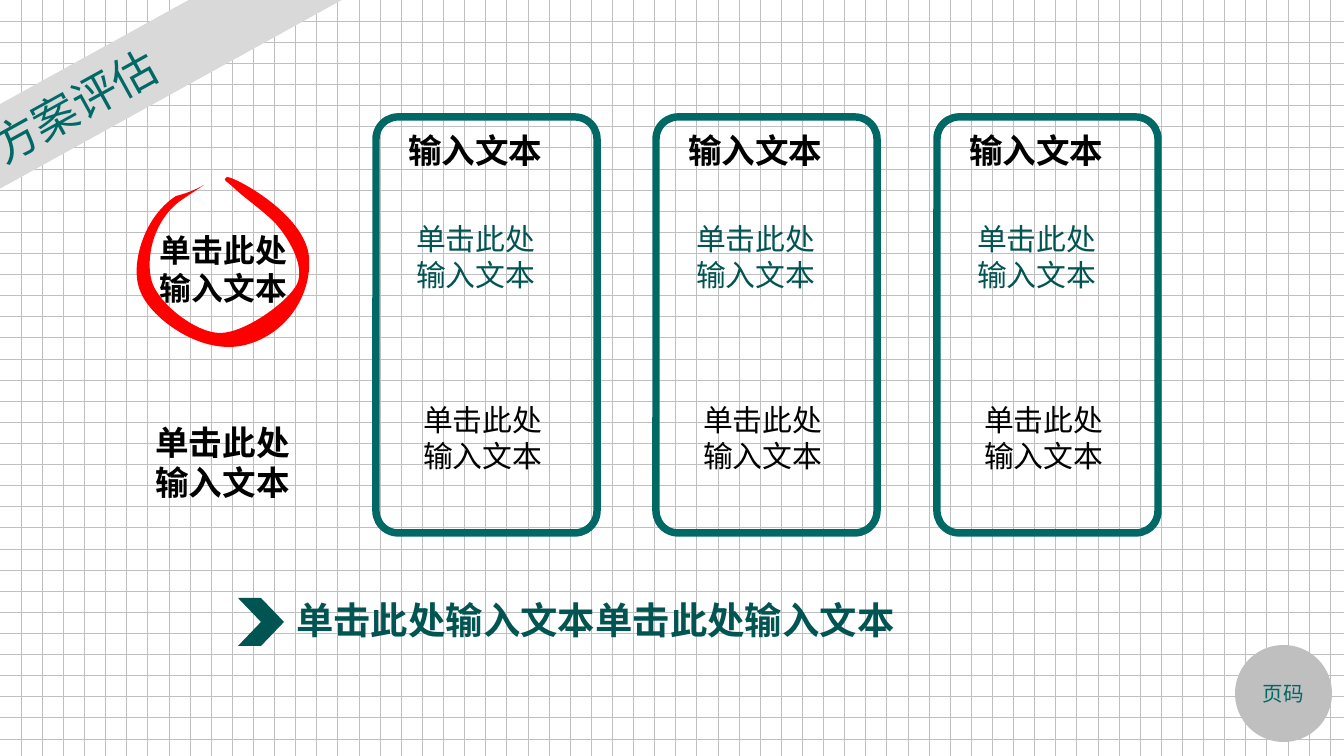
import dataclasses

import lxml.etree
import pptx
import pptx.dml.color
import pptx.enum.dml
import pptx.enum.shapes
import pptx.enum.text
import pptx.oxml.ns
import pptx.util

EMU_PER_PX = 914400 / 134.4
SHAPES = pptx.enum.shapes.MSO_SHAPE
ALIGN = pptx.enum.text.PP_ALIGN
ANCHOR = pptx.enum.text.MSO_ANCHOR
AUTO_SIZE = pptx.enum.text.MSO_AUTO_SIZE
rgb = pptx.dml.color.RGBColor.from_string
qn = pptx.oxml.ns.qn


@dataclasses.dataclass(frozen=True)
class Theme:
    font: str = "Noto Sans CJK SC"
    teal: str = "006865"
    dark_teal: str = "005452"
    black: str = "000000"
    white: str = "FFFFFF"
    red: str = "FF0000"
    band: str = "D9D9D9"
    grey: str = "BFBFBF"
    title: int = 24
    summary: int = 20
    heading: int = 18
    circled: int = 17
    body: int = 16
    page_number: int = 11


theme = Theme()


def px(*lengths):
    return [pptx.util.Emu(round(length * EMU_PER_PX)) for length in lengths]


def write(shape, text, size, color, bold=False, align=ALIGN.LEFT,
          anchor=ANCHOR.TOP, auto_size=AUTO_SIZE.SHAPE_TO_FIT_TEXT):
    frame = shape.text_frame
    frame.word_wrap = True
    frame.auto_size = auto_size
    frame.vertical_anchor = anchor
    para = frame.paragraphs[0]
    para.alignment = align
    span = para.add_run()
    span.text = text
    span.font.size = pptx.util.Pt(size)
    span.font.bold = bold
    span.font.color.rgb = rgb(color)
    span.font.name = theme.font
    east_asian = lxml.etree.SubElement(span.font._element, qn("a:ea"))
    east_asian.set("typeface", theme.font)


deck = pptx.Presentation()
deck.slide_width, deck.slide_height = px(1344, 756)
slide = deck.slides.add_slide(deck.slide_layouts[5])
shapes = slide.shapes

grid = slide.background.fill
grid.patterned()
grid.pattern = pptx.enum.dml.MSO_PATTERN.DOTTED_GRID
grid.fore_color.rgb = rgb(theme.grey)
grid.back_color.rgb = rgb(theme.white)

# Slanted title band; the left margin moves the text onto the slide
title = shapes.title
title.left, title.top, title.width, title.height = px(-128, 26, 558, 74)
title.rotation = 331.1
title.fill.solid()
title.fill.fore_color.rgb = rgb(theme.band)
title.text_frame.margin_left = px(102)[0]
write(title, "方案评估", theme.title, theme.teal, anchor=ANCHOR.MIDDLE, auto_size=AUTO_SIZE.NONE)

# Row labels
for place, size in (
    ((142, 224, 163, 90), theme.circled),
    ((135, 415, 175, 95), theme.heading),
):
    label = shapes.add_textbox(*px(*place))
    write(label, "单击此处输入文本", size, theme.black, bold=True, align=ALIGN.CENTER)

# Hand-drawn ring: cubic curves, each as two control points and an end point
ring_start = (176, 196)
ring_curves = [
    ((142, 218), (129, 269), (141, 293)),
    ((152, 319), (202, 356), (245, 345)),
    ((285, 335), (312, 297), (309, 257)),
    ((305, 214), (235, 177), (227, 177)),
    ((222, 181), (226, 180), (234, 188)),
    ((242, 196), (265, 212), (276, 224)),
    ((286, 235), (306, 265), (297, 284)),
    ((288, 302), (245, 333), (220, 333)),
    ((196, 333), (159, 304), (152, 282)),
    ((145, 259), (153, 219), (183, 199)),
    ((183, 199), (204, 185), (204, 185)),
    ((200, 187), (192, 192), (176, 196)),
]
outline = shapes.build_freeform(*px(*ring_start))
outline.add_line_segments([px(*curve[-1]) for curve in ring_curves], close=True)
ring = outline.convert_to_shape()

# Turn each straight side of the ring into its curve
sides = list(ring._element.iter(qn("a:lnTo")))
for side, curve in zip(sides, ring_curves):
    bend = lxml.etree.Element(qn("a:cubicBezTo"))
    for point in curve:
        x, y = px(*point)
        lxml.etree.SubElement(bend, qn("a:pt"), x=str(x - ring.left), y=str(y - ring.top))
    side.getparent().replace(side, bend)

page_circle = shapes.add_shape(SHAPES.OVAL, *px(1235, 645, 97, 97))
page_circle.text_frame.margin_left = page_circle.text_frame.margin_right = 0
write(page_circle, "页码", theme.page_number, theme.teal, align=ALIGN.CENTER,
      anchor=ANCHOR.MIDDLE, auto_size=AUTO_SIZE.NONE)

arrow = shapes.add_shape(SHAPES.CHEVRON, *px(238, 598, 46, 48))
for shape, color in ((ring, theme.red), (page_circle, theme.grey), (arrow, theme.dark_teal)):
    shape.shadow.inherit = False
    shape.fill.solid()
    shape.fill.fore_color.rgb = rgb(color)
    shape.line.fill.background()

summary = shapes.add_textbox(*px(283, 591, 821, 59))
write(summary, "单击此处输入文本单击此处输入文本", theme.summary, theme.dark_teal, bold=True)

# Three equal cards; text places are measured from the card's left edge
card_texts = [
    ((19, 123, 202, 54), "输入文本", theme.heading, theme.black, True),
    ((27, 214, 151, 86), "单击此处输入文本", theme.body, theme.dark_teal, False),
    ((34, 395, 153, 86), "单击此处输入文本", theme.body, theme.black, False),
]
for left in (376, 656, 937):
    card = shapes.add_shape(SHAPES.ROUNDED_RECTANGLE, *px(left, 117, 221, 416))
    card.adjustments[0] = 0.1
    card.shadow.inherit = False
    card.fill.background()
    card.line.color.rgb = rgb(theme.teal)
    card.line.width = pptx.util.Pt(4)
    for (offset, top, width, height), text, size, color, bold in card_texts:
        box = shapes.add_textbox(*px(left + offset, top, width, height))
        write(box, text, size, color, bold=bold)

deck.save("out.pptx")
